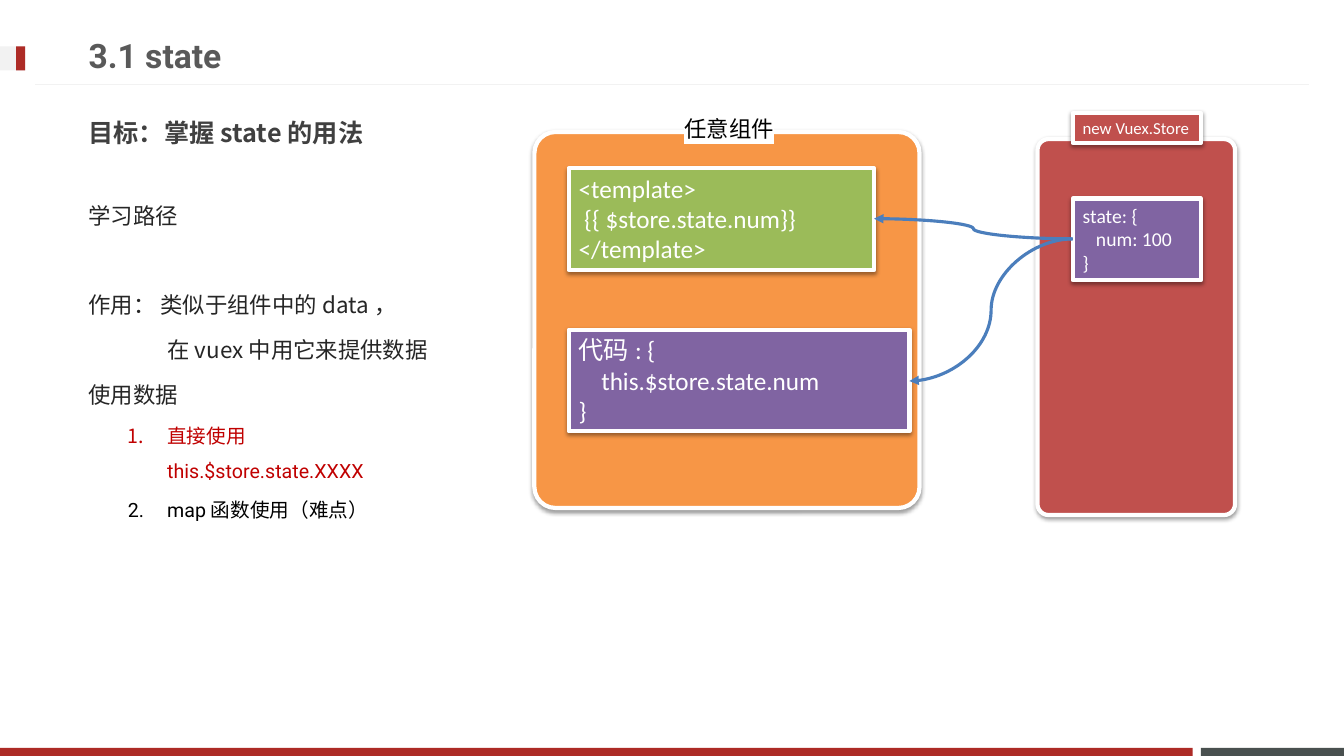
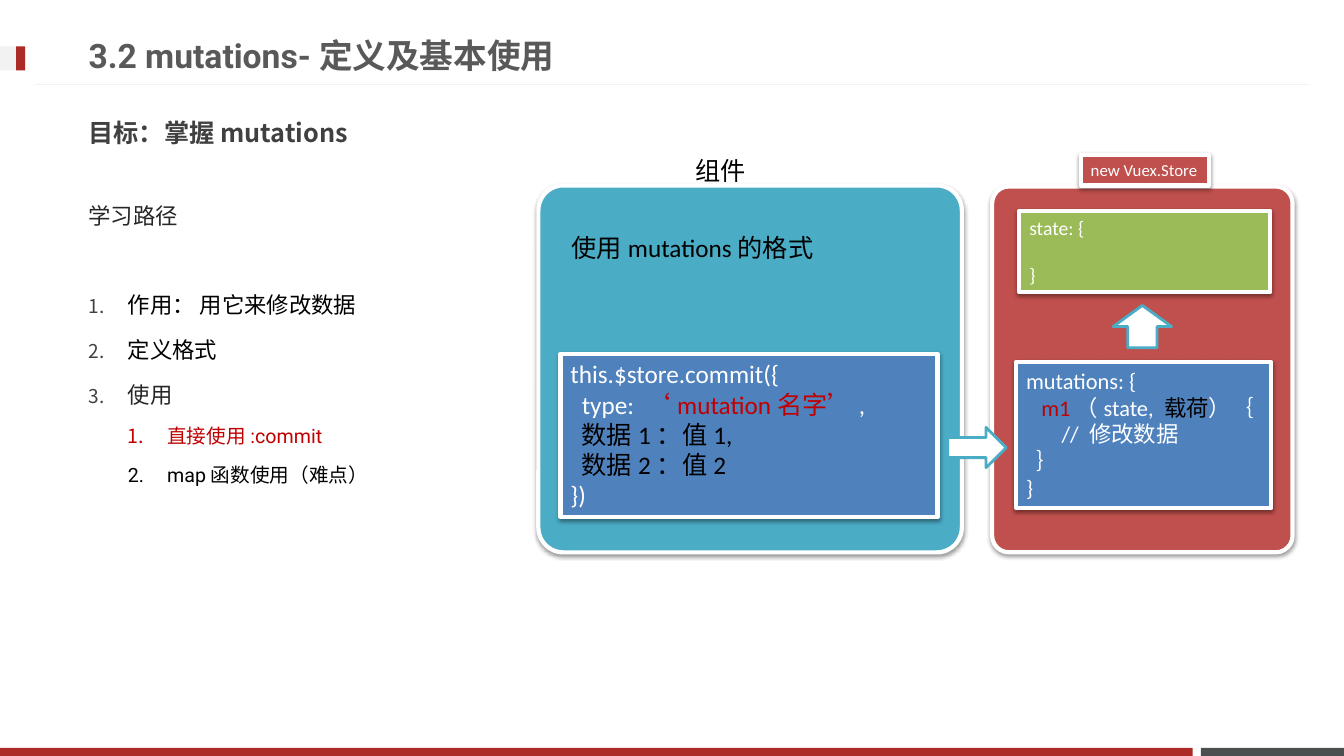
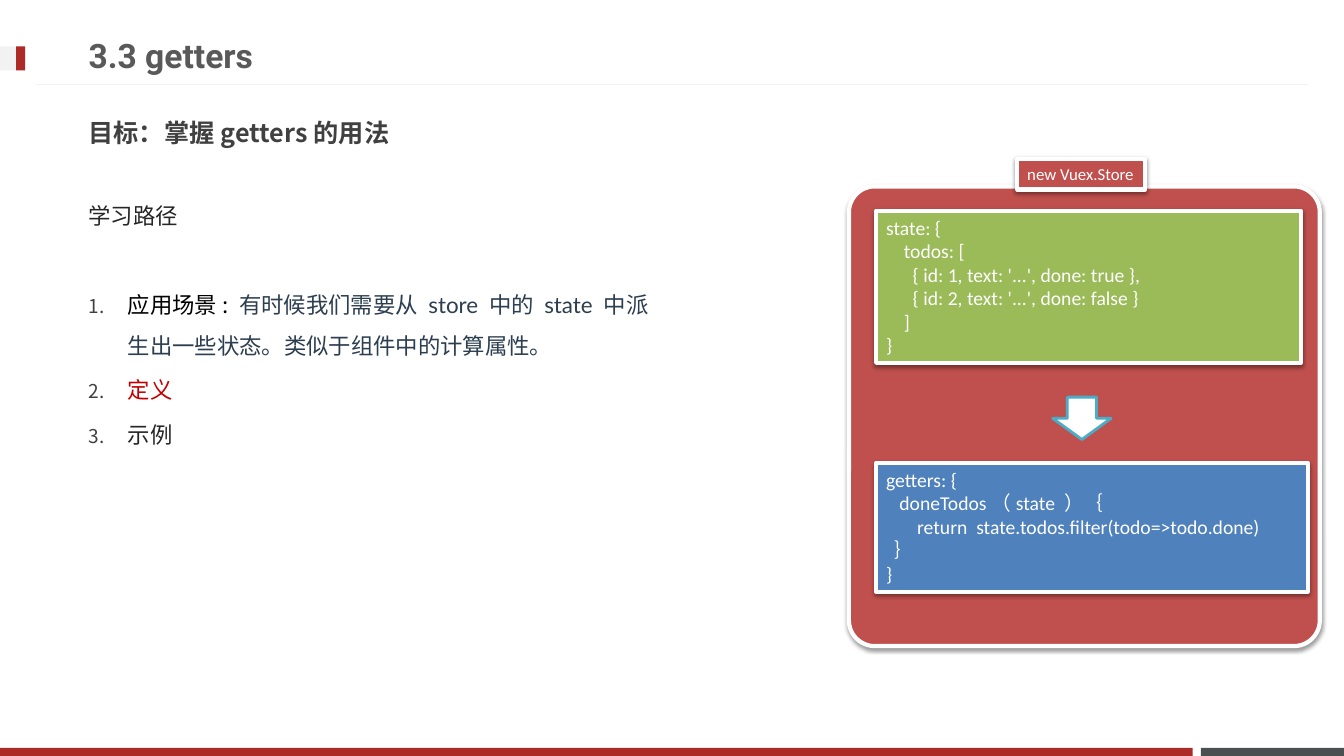
from lxml import etree
from pptx import Presentation, util as u
from pptx.dml.color import RGBColor
from pptx.enum import shapes, text
from pptx.oxml import parse_xml
from pptx.oxml.ns import nsdecls, qn

KIND = shapes.MSO_SHAPE
LINK = shapes.MSO_CONNECTOR
rgb = RGBColor.from_string

WHITE, BLACK, INK, RED = "FFFFFF", "000000", "262626", "C00000"
BRAND, PALE, SLATE, TITLE, GOAL = "AD2B26", "F2F2F2", "49504F", "595959", "404040"
BRICK, GREEN, BLUE, PURPLE = "C0504D", "9BBB59", "4F81BD", "8064A2"
ORANGE, TEAL, WIRE, NAVY = "F79646", "4BACC6", "4B7EBC", "2C3E50"
NOTO, HEAD, CODE = "Noto Sans CJK JP", "Roboto", "Calibri"
STEP = 0.39  # indent of one list level


def write(frame, parts, size=16, color=INK, font=NOTO, bold=False,
          before=None, line=None, left=0, level=0, mark=False):
    """Add one paragraph; parts is a string or a list of (text, color[, font])."""
    par = frame.paragraphs[0]
    if par.runs:
        par = frame.add_paragraph()
    par.level = level
    props = par._p.get_or_add_pPr()
    if left:
        props.set("marL", str(u.Inches(left)))
    if mark:
        props.set("indent", str(-u.Inches(STEP)))
        if level == 0:
            tint = etree.SubElement(props, qn("a:buClr"))
            etree.SubElement(tint, qn("a:srgbClr"), val=GOAL)
            etree.SubElement(props, qn("a:buSzPct"), val="85000")
        etree.SubElement(props, qn("a:buAutoNum"), type="arabicPeriod")
    if before:
        par.space_before = u.Pt(before)
    if line:
        par.line_spacing = u.Pt(line)
    if isinstance(parts, str):
        parts = [(parts, color)]
    for words, tone, *face in parts:
        for n, piece in enumerate(words.split("\n")):
            if n:
                par.add_line_break()
            run = par.add_run()
            run.text = piece
            run.font.size = u.Pt(size)
            run.font.bold = bold
            run.font.name = face[0] if face else font
            run.font.color.rgb = rgb(tone)
    return par


def add(slide, kind, at, fill=None, edge=None, width=3, glow=False, adj=None, turn=0):
    """Add a preset shape, or a text box when kind is None."""
    spot = [u.Inches(v) for v in at]
    if kind is None:
        item = slide.shapes.add_textbox(*spot)
    else:
        item = slide.shapes.add_shape(kind, *spot)
        item.shadow.inherit = False
        item.fill.solid()
        item.fill.fore_color.rgb = rgb(fill)
        item.rotation = turn
        if edge:
            item.line.color.rgb = rgb(edge)
            item.line.width = u.Pt(width)
        else:
            item.line.fill.background()
        if adj:
            item.adjustments[0] = adj
        if glow:
            item._element.spPr.find(qn("a:effectLst")).append(parse_xml(
                f'<a:outerShdw {nsdecls("a")} blurRad="{u.Pt(3.1)}" dist="{u.Pt(1.6)}" '
                'dir="5400000" rotWithShape="0"><a:srgbClr val="000000">'
                '<a:alpha val="38000"/></a:srgbClr></a:outerShdw>'))
        item.text_frame.paragraphs[0].alignment = text.PP_ALIGN.LEFT
    item.text_frame.word_wrap = True
    item.text_frame.vertical_anchor = text.MSO_ANCHOR.TOP
    return item


# Content: title, goal, body width, body as (style, parts, color),
# cards as (at, fill, corner), codes as (at, fill, size, lines),
# labels as (at, size, words), arrows as (at, turn), wires as (from, to)
pages = [
    dict(
        title="3.1 state", goal="目标：掌握state的用法", wide=11.72,
        body=[("plain", "作用： 类似于组件中的data，", INK),
              ("deep", "在vuex中用它来提供数据", INK),
              ("plain", "使用数据", INK),
              ("sub", "直接使用\nthis.$store.state.XXXX", RED),
              ("sub", "map函数使用（难点）", BLACK)],
        cards=[((5.3, 1.31, 3.82, 3.73), ORANGE, 0.056),
               ((10.29, 1.38, 1.96, 3.73), BRICK, 0.056)],
        tag=(10.64, 1.12),
        labels=[((6.69, 1.09, 1.27, 0.37), 16, "任意组件", True)],
        codes=[((10.64, 1.97, 1.27, 0.81), PURPLE, 14, ["state: {", "   num: 100", "}"]),
               ((5.64, 1.67, 3.03, 1.01), GREEN, 18,
                ["<template>", " {{ $store.state.num}}", "</template>"]),
               ((5.64, 3.27, 3.38, 1.01), PURPLE, 18,
                ["代码: {", "    this.$store.state.num", "}"])],
        arrows=[],
        wires=[(10.64, 2.37, 9.02, 3.78), (10.64, 2.37, 8.67, 2.17)]),
    dict(
        title="3.2 mutations-定义及基本使用", goal="目标：掌握mutations", wide=4.04,
        body=[("item", "作用： 用它来修改数据", BLACK),
              ("item", "定义格式", BLACK),
              ("item", "使用", INK),
              ("sub", "直接使用:commit", RED),
              ("sub", "map函数使用（难点）", BLACK)],
        cards=[((9.84, 1.85, 2.98, 3.63), BRICK, 0.056),
               ((5.34, 1.84, 4.2, 3.64), TEAL, 0.068)],
        tag=(10.72, 1.54),
        labels=[((6.8, 1.49, 0.86, 0.4), 18, "组件", False),
                ((5.57, 2.26, 3.7, 0.4), 18, "使用mutations的格式", False)],
        codes=[((10.11, 2.09, 2.49, 0.81), GREEN, 14, ["state: {", ("}", 17)]),
               ((10.08, 3.59, 2.53, 1.45), BLUE, 16,
                ["mutations: {",
                 [("   ", WHITE), ("m1", RED), ("（state, ", WHITE),
                  ("载荷", BLACK), ("）｛", WHITE)],
                 "       // 修改数据", "  ｝", "}"]),
               ((5.56, 3.51, 3.74, 1.62), BLUE, 18,
                ["this.$store.commit({",
                 [("  type: ", WHITE), ("‘mutation名字’", RED), (",", WHITE)],
                 [("  数据1：值1,", BLACK)], [("  数据2：值2", BLACK)], "})"])],
        arrows=[((11.04, 3.03, 0.58, 0.42), 0), ((9.49, 4.15, 0.4, 0.58), 90)],
        wires=[]),
    dict(
        title="3.3 getters", goal="目标：掌握getters的用法", wide=5.89,
        body=[("item", [("应用场景: ", BLACK),
                        ("有时候我们需要从 store 中的 state 中派生出一些状态。"
                         "类似于组件中的计算属性。", NAVY, "Lato")], INK),
              ("item", "定义", RED),
              ("item", "示例", INK)],
        cards=[((8.42, 1.85, 4.67, 4.56), BRICK, 0.056)],
        tag=(10.09, 1.58),
        labels=[],
        codes=[((8.69, 2.09, 4.21, 1.51), GREEN, 14,
                ["state: {", "    todos: [",
                 "      { id: 1, text: '...', done: true },",
                 "      { id: 2, text: '...', done: false }", "    ]", "}"]),
               ((8.69, 4.59, 4.28, 1.28), BLUE, 14,
                ["getters: {", "   doneTodos（state ）｛",
                 "       return  state.todos.filter(todo=>todo.done)", "  ｝", "}"])],
        arrows=[((10.44, 3.94, 0.58, 0.42), 180)],
        wires=[]),
]

styles = {
    "plain": dict(size=16),
    "deep": dict(size=16, left=2 * STEP),
    "item": dict(size=16, left=STEP, mark=True),
    "sub": dict(size=14, font=HEAD, left=2 * STEP, level=1, mark=True),
}
bands = [((11.91, 7.42, 1.42, 0.08), SLATE), ((0, 7.42, 11.83, 0.08), BRAND),
         ((0, 0.46, 0.25, 0.24), PALE), ((0.16, 0.46, 0.09, 0.24), BRAND)]

deck = Presentation()
deck.slide_width, deck.slide_height = u.Inches(13.33), u.Inches(7.5)

for page in pages:
    slide = deck.slides.add_slide(deck.slide_layouts[6])

    # Bands and lines
    for at, fill in bands:
        add(slide, KIND.RECTANGLE, at, fill)
    lines = [(LINK.STRAIGHT, (12.98, 0.84, 0.35, 0.84), PALE, 0.75)]
    lines += [(LINK.CURVE, ends, WIRE, 2.25) for ends in page["wires"]]

    # Title and goal
    for at, words, size, color, font in [
            ((0.78, 0.26, 9.59, 0.57), page["title"], 24, TITLE, HEAD),
            ((0.78, 1.03, 11.72, 0.57), page["goal"], 18, GOAL, NOTO)]:
        frame = add(slide, None, at).text_frame
        frame.vertical_anchor = text.MSO_ANCHOR.MIDDLE
        write(frame, words, size, color, font, bold=True)

    # Learning path
    frame = add(slide, None, (0.78, 1.82, page["wide"], 4.61)).text_frame
    write(frame, "学习路径", line=28.8)
    for n, (style, parts, color) in enumerate(page["body"]):
        look = styles[style]
        size = look["size"]
        write(frame, parts, color=color, before=0.2 * size if n else 35.2,
              line=1.8 * size, **look)

    # Cards, code boxes and the store tag
    for at, fill, adj in page["cards"]:
        add(slide, KIND.ROUNDED_RECTANGLE, at, fill, WHITE, glow=True, adj=adj)
    tag = ((*page["tag"], 1.27, 0.3), BRICK, 12, ["new Vuex.Store"])
    for at, fill, size, rows in [*page["codes"], tag]:
        frame = add(slide, KIND.RECTANGLE, at, fill, WHITE, glow=True).text_frame
        for row in rows:
            row, gap = row if isinstance(row, tuple) else (row, None)
            par = write(frame, row, size, WHITE, CODE, before=gap)
            par.alignment = text.PP_ALIGN.LEFT

    # Labels
    for at, size, words, lit in page["labels"]:
        par = write(add(slide, None, at).text_frame, words, size, BLACK, CODE)
        if lit:
            fill = par.runs[0].font._element.find(qn("a:solidFill"))
            fill.addnext(parse_xml(f'<a:highlight {nsdecls("a")}>'
                                   f'<a:srgbClr val="{WHITE}"/></a:highlight>'))

    # Arrows and connectors
    for at, turn in page["arrows"]:
        add(slide, KIND.UP_ARROW, at, WHITE, TEAL, 2, turn=turn)
    for kind, ends, color, width in lines:
        wire = slide.shapes.add_connector(kind, *[u.Inches(v) for v in ends])
        wire.line.color.rgb = rgb(color)
        wire.line.width = u.Pt(width)
        if kind == LINK.CURVE:
            etree.SubElement(wire.line._get_or_add_ln(), qn("a:tailEnd"), type="triangle")
        etree.SubElement(wire._element.spPr, qn("a:effectLst"))

deck.save("out.pptx")
